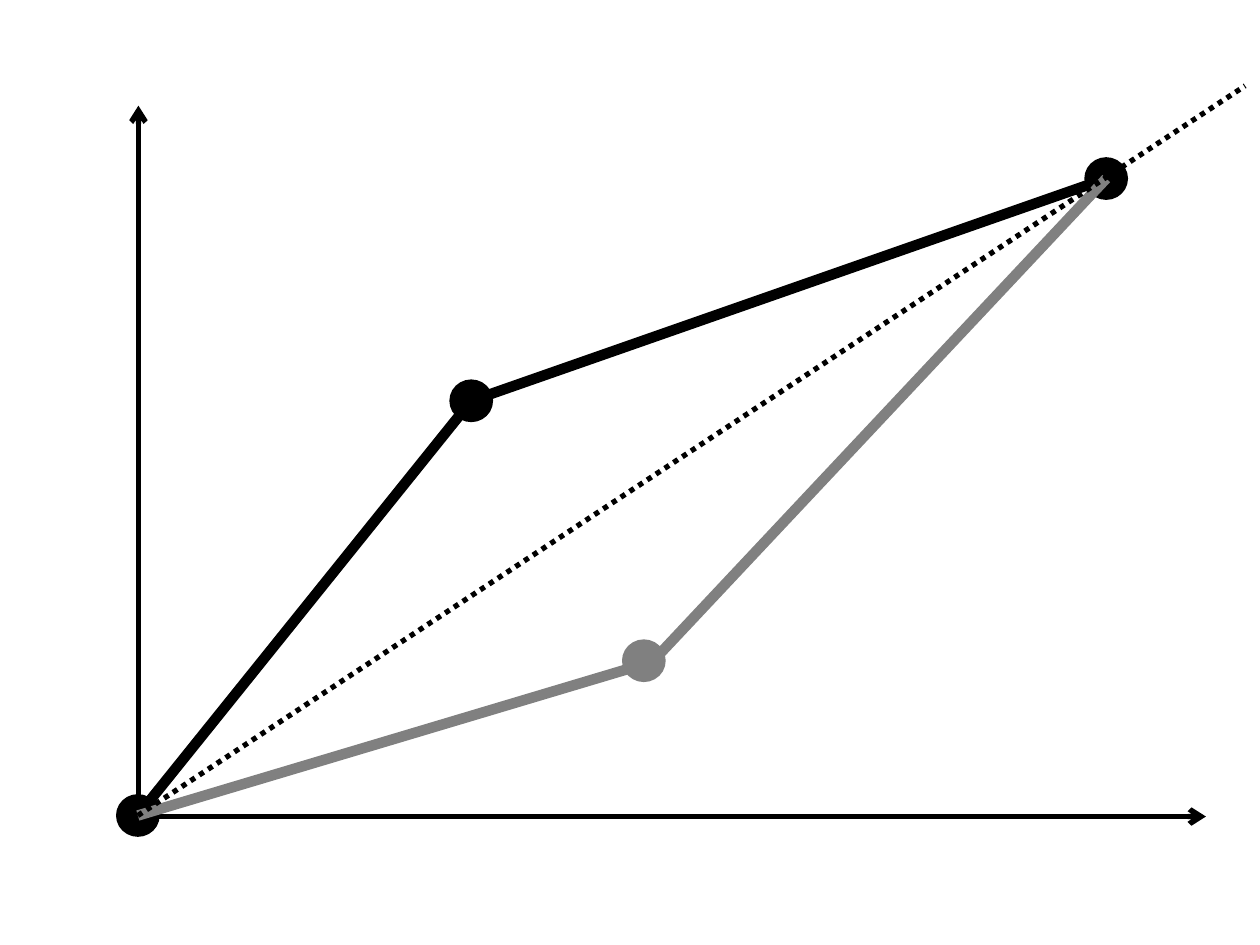
from lxml import etree
from pptx import Presentation
from pptx.dml.color import RGBColor
from pptx.enum import dml, shapes
from pptx.oxml import ns
from pptx.util import Cm, Pt

BLACK = RGBColor(0x00, 0x00, 0x00)
GRAY = RGBColor(0x80, 0x80, 0x80)

# Content, in centimetres
ORIGIN = (2.78, 16.44)
UPPER = (9.5, 8.08)
LOWER = (13.15, 13.34)
END = (22.3, 3.6)
DOT_WIDTH, DOT_HEIGHT = 0.81, 0.79

UPPER_PATH = [
    dict(start=ORIGIN, end=UPPER, color=BLACK, width=6),
    dict(start=UPPER, end=END, color=BLACK, width=6),
]
BLACK_DOTS = [(ORIGIN, BLACK), (UPPER, BLACK), (END, BLACK)]
AXES = [
    dict(start=(2.79, 16.44), end=(2.79, 2.13), color=BLACK, width=3, arrow=True),
    dict(start=(2.72, 16.46), end=(24.31, 16.46), color=BLACK, width=3, arrow=True),
]
LOWER_PATH = [
    dict(start=ORIGIN, end=LOWER, color=GRAY, width=6),
    dict(start=LOWER, end=END, color=GRAY, width=6),
]
DIAGONAL = [
    dict(start=ORIGIN, end=(25.1, 1.73), color=BLACK, width=3,
         dash=dml.MSO_LINE.ROUND_DOT),
]
GRAY_DOTS = [((12.98, 13.32), GRAY)]


def add_lines(slide, lines):
    for item in lines:
        points = [Cm(value) for value in item["start"] + item["end"]]
        connector = slide.shapes.add_connector(
            shapes.MSO_CONNECTOR.STRAIGHT, *points)
        line = connector.line
        line.color.rgb = item["color"]
        formats = {"width": Pt(item["width"]), "dash_style": item.get("dash")}
        for name, value in formats.items():
            setattr(line, name, value)
        properties = connector.element.spPr
        if item.get("arrow"):
            outline = properties.find(ns.qn("a:ln"))
            etree.SubElement(outline, ns.qn("a:tailEnd"), type="arrow")
        # An empty effect list turns the theme shadow off
        etree.SubElement(properties, ns.qn("a:effectLst"))


def add_dots(slide, dots):
    for (x, y), color in dots:
        dot = slide.shapes.add_shape(
            shapes.MSO_SHAPE.OVAL,
            Cm(x - DOT_WIDTH / 2), Cm(y - DOT_HEIGHT / 2),
            Cm(DOT_WIDTH), Cm(DOT_HEIGHT))
        dot.shadow.inherit = False
        dot.fill.solid()
        dot.fill.fore_color.rgb = color
        dot.line.color.rgb = color
        dot.line.width = Pt(2)


def main():
    presentation = Presentation()
    presentation.slide_width, presentation.slide_height = Cm(25.4), Cm(19.05)
    slide = presentation.slides.add_slide(presentation.slide_layouts[6])

    # Back to front
    add_lines(slide, UPPER_PATH)
    add_dots(slide, BLACK_DOTS)
    add_lines(slide, AXES + LOWER_PATH + DIAGONAL)
    add_dots(slide, GRAY_DOTS)

    presentation.save("out.pptx")


if __name__ == "__main__":
    main()
